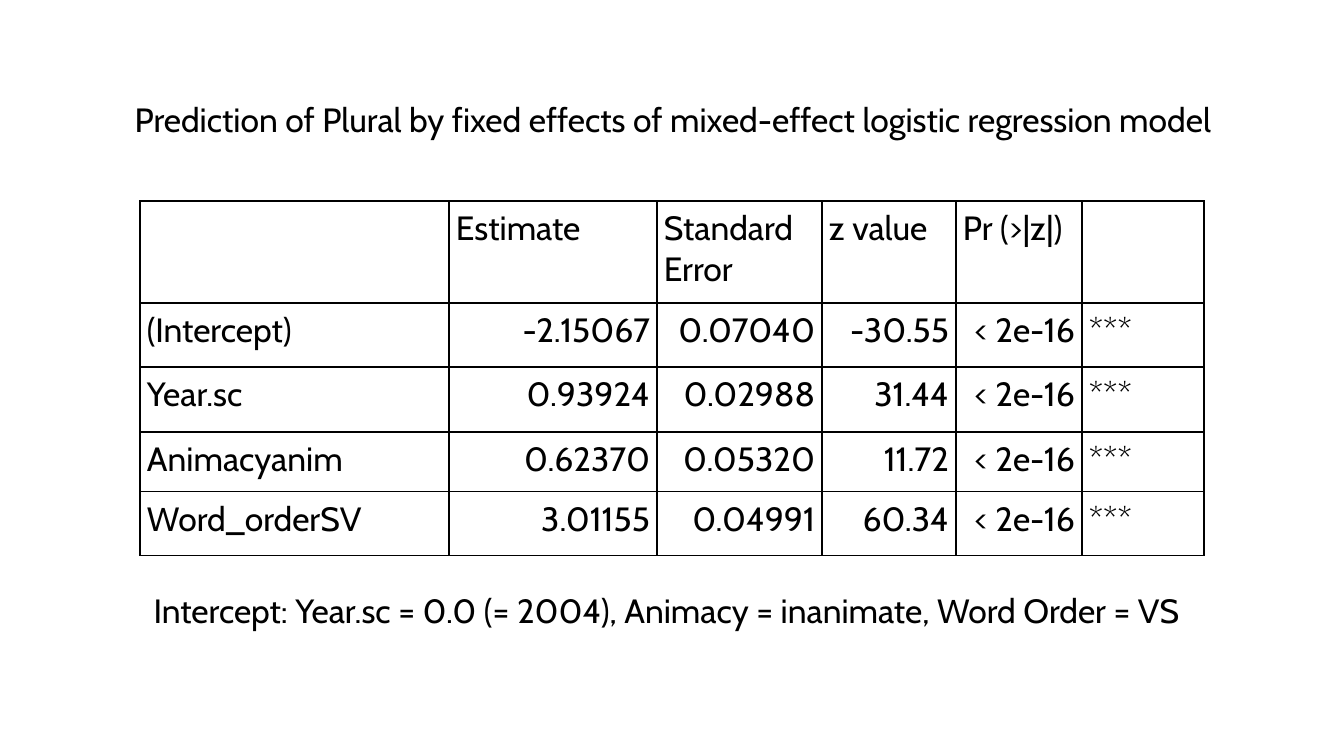
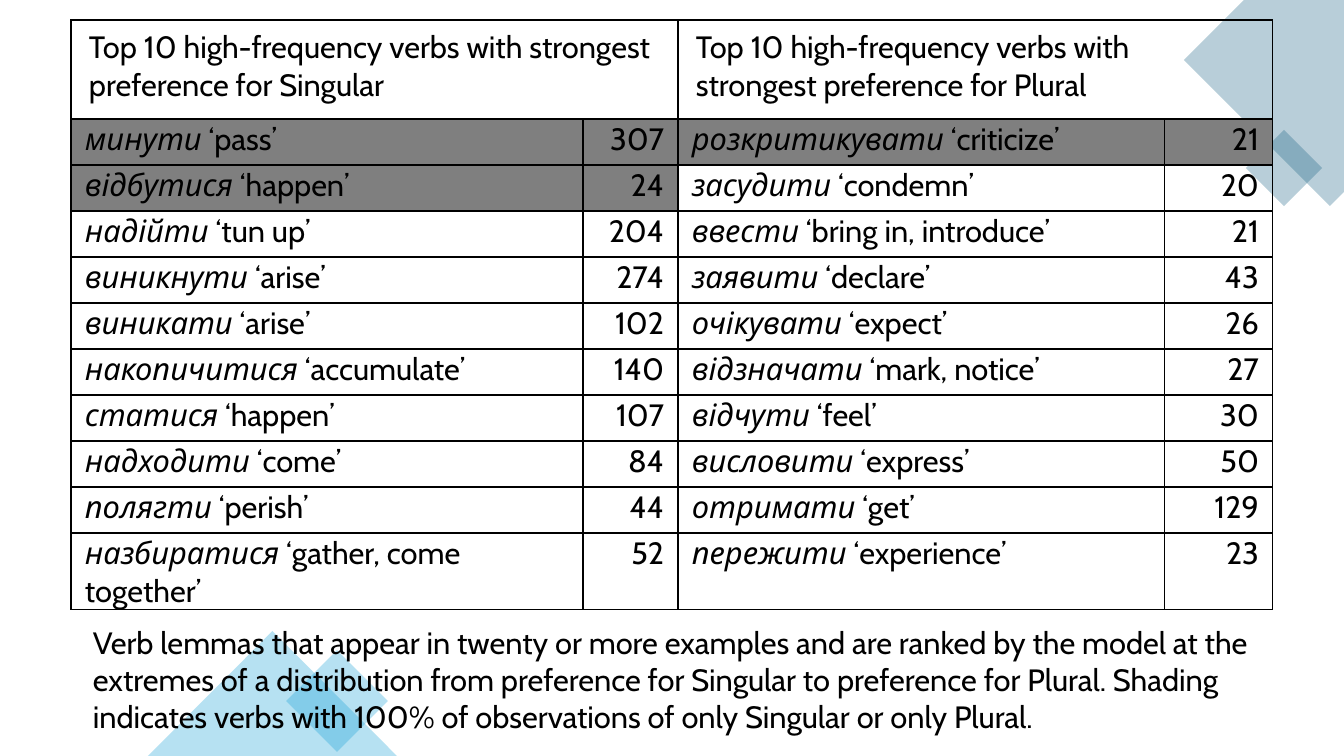
from lxml.etree import SubElement
from pptx import Presentation
from pptx.dml.color import RGBColor
from pptx.enum.shapes import MSO_SHAPE
from pptx.enum.text import MSO_ANCHOR, MSO_AUTO_SIZE, PP_ALIGN
from pptx.oxml.ns import qn
from pptx.util import Emu, Pt

SLIDE_WIDTH, SLIDE_HEIGHT = 1344, 756
EMU_PER_PX = 12192000 / SLIDE_WIDTH
TITLE_ONLY, BLANK = 5, 6
FONT = "Cabin"
BLACK = RGBColor(0x00, 0x00, 0x00)
SHADE = RGBColor(0x7F, 0x7F, 0x7F)
TEAL = RGBColor(0x15, 0x60, 0x82)
SKY = RGBColor(0x0F, 0x9E, 0xD5)
OPACITY = 30

MODEL_SIZE, VERB_SIZE = 24, 22
MODEL_INSETS = (7, 7, 7, 7)
HEADER_INSETS = (18, 9, 18, 9)
VERB_INSETS = (14, 2, 14, 0)

MODEL_HEADER = ("", "Estimate", "Standard Error", "z value", "Pr (>|z|)", "")
MODEL_ROWS = (
    ("(Intercept)", "-2.15067", "0.07040", "-30.55"),
    ("Year.sc", "0.93924", "0.02988", "31.44"),
    ("Animacyanim", "0.62370", "0.05320", "11.72"),
    ("Word_orderSV", "3.01155", "0.04991", "60.34"),
)
SIGNIFICANCE = ("< 2e-16", "***")

SINGULAR_VERBS = (
    ("минути", "pass", 307),
    ("відбутися", "happen", 24),
    ("надійти", "tun up", 204),
    ("виникнути", "arise", 274),
    ("виникати", "arise", 102),
    ("накопичитися", "accumulate", 140),
    ("статися", "happen", 107),
    ("надходити", "come", 84),
    ("полягти", "perish", 44),
    ("назбиратися", "gather, come together", 52),
)
PLURAL_VERBS = (
    ("розкритикувати", "criticize", 21),
    ("засудити", "condemn", 20),
    ("ввести", "bring in, introduce", 21),
    ("заявити", "declare", 43),
    ("очікувати", "expect", 26),
    ("відзначати", "mark, notice", 27),
    ("відчути", "feel", 30),
    ("висловити", "express", 50),
    ("отримати", "get", 129),
    ("пережити", "experience", 23),
)
VERB_GROUPS = (
    ("Singular", SINGULAR_VERBS, 2),
    ("Plural", PLURAL_VERBS, 1),
)


def px(length):
    """Turn a length in px into EMU."""
    return Emu(round(length * EMU_PER_PX))


def format_text(frame, size, align=PP_ALIGN.LEFT):
    """Apply the deck font to all text of a frame."""
    for para in frame.paragraphs:
        para.alignment = align
        for span in para.runs:
            span.font.name = FONT
            span.font.size = Pt(size)
            span.font.color.rgb = BLACK


def place_text(box, bounds, text, size, align):
    """Position a text box or title and set its text."""
    box.left, box.top, box.width, box.height = map(px, bounds)
    frame = box.text_frame
    frame.text = text
    frame.word_wrap = True
    frame.auto_size = MSO_AUTO_SIZE.NONE
    frame.vertical_anchor = MSO_ANCHOR.TOP
    format_text(frame, size, align)


def add_text(page, bounds, text, size, align=PP_ALIGN.LEFT):
    """Add a wrapping text box."""
    box = page.shapes.add_textbox(*map(px, bounds))
    place_text(box, bounds, text, size, align)


def tint(shape, color):
    """Give a shape a translucent fill without line or shadow."""
    shape.shadow.inherit = False
    shape.line.fill.background()
    shape.fill.solid()
    shape.fill.fore_color.rgb = color
    color_node = shape.fill._xPr.find(qn("a:solidFill"))[0]
    SubElement(color_node, qn("a:alpha"), val=str(OPACITY * 1000))


def add_tinted(page, kind, bounds, color, rotation=0):
    """Add a translucent preset shape."""
    shape = page.shapes.add_shape(kind, *map(px, bounds))
    shape.rotation = rotation
    tint(shape, color)


def add_tinted_outline(page, points, color):
    """Add a translucent polygon."""
    builder = page.shapes.build_freeform(*points[0], scale=EMU_PER_PX)
    builder.add_line_segments(points[1:], close=True)
    tint(builder.convert_to_shape(), color)


def add_grid(page, left, top, widths, heights):
    """Add a plain table with thin black borders."""
    frame = page.shapes.add_table(
        len(heights), len(widths), px(left), px(top), px(sum(widths)), px(sum(heights))
    )
    table = frame.table
    table.first_row = table.horz_banding = False
    for column, width in zip(table.columns, widths):
        column.width = px(width)
    for row, height in zip(table.rows, heights):
        row.height = px(height)
    for cell in table.iter_cells():
        properties = cell._tc.get_or_add_tcPr()
        for side in ("a:lnL", "a:lnR", "a:lnT", "a:lnB"):
            line = SubElement(properties, qn(side), w=str(Pt(1)))
            fill = SubElement(line, qn("a:solidFill"))
            SubElement(fill, qn("a:srgbClr"), val=str(BLACK))
        cell.fill.background()
    return table


def fill_cell(cell, text, size, insets, align=PP_ALIGN.LEFT, lemma=""):
    """Write a cell, with an optional italic lemma before its text."""
    cell.margin_left, cell.margin_top, cell.margin_right, cell.margin_bottom = map(px, insets)
    para = cell.text_frame.paragraphs[0]
    if lemma:
        span = para.add_run()
        span.text = lemma
        span.font.italic = True
    if text:
        para.add_run().text = text
    format_text(cell.text_frame, size, align)


def shade_cell(cell):
    """Fill a cell with the highlight grey."""
    cell.fill.solid()
    cell.fill.fore_color.rgb = SHADE


def add_model_table(page):
    """Add the table of fixed effects."""
    table = add_grid(page, 140, 201, (309, 208, 165, 134, 126, 122), (102, 64, 65, 60, 64))
    for column, text in enumerate(MODEL_HEADER):
        fill_cell(table.cell(0, column), text, MODEL_SIZE, MODEL_INSETS)
    last = len(MODEL_HEADER) - 1
    for row, values in enumerate(MODEL_ROWS, 1):
        for column, text in enumerate(values + SIGNIFICANCE):
            align = PP_ALIGN.LEFT if column in (0, last) else PP_ALIGN.RIGHT
            cell = table.cell(row, column)
            fill_cell(cell, text, MODEL_SIZE, MODEL_INSETS, align)
            cell.text_frame.paragraphs[0].space_after = Pt(8)


def add_verb_table(page):
    """Add the verb rankings for both numbers side by side."""
    table = add_grid(page, 71, 20, (512, 95, 487, 108), [99] + [46] * 9 + [75])
    for group, (number, verbs, shaded) in enumerate(VERB_GROUPS):
        column = 2 * group
        header = table.cell(0, column)
        header.merge(table.cell(0, column + 1))
        text = f"Top 10 high-frequency verbs with strongest preference for {number}"
        fill_cell(header, text, VERB_SIZE, HEADER_INSETS)
        for row, (lemma, gloss, count) in enumerate(verbs, 1):
            verb_cell, count_cell = table.cell(row, column), table.cell(row, column + 1)
            fill_cell(verb_cell, f" ‘{gloss}’", VERB_SIZE, VERB_INSETS, lemma=lemma)
            fill_cell(count_cell, str(count), VERB_SIZE, VERB_INSETS, PP_ALIGN.RIGHT)
            if row <= shaded:
                shade_cell(verb_cell)
                shade_cell(count_cell)


def build_model_page(deck):
    """Build the slide with the regression results."""
    page = deck.slides.add_slide(deck.slide_layouts[TITLE_ONLY])
    place_text(
        page.shapes.title,
        (113, 94, 1120, 50),
        "Prediction of Plural by fixed effects of mixed-effect logistic regression model",
        MODEL_SIZE,
        PP_ALIGN.CENTER,
    )
    add_model_table(page)
    add_text(
        page,
        (120, 585, 1093, 50),
        "Intercept: Year.sc = 0.0 (= 2004), Animacy = inanimate, Word Order = VS",
        MODEL_SIZE,
        PP_ALIGN.CENTER,
    )


def build_verb_page(deck):
    """Build the slide with the verb rankings."""
    page = deck.slides.add_slide(deck.slide_layouts[BLANK])
    corner = ((1344, 0), (1244, 0), (1184, 60), (1330, 206), (1344, 192))
    add_tinted_outline(page, corner, TEAL)
    add_tinted(page, MSO_SHAPE.RECTANGLE, (1257, 141, 54, 54), TEAL, 315)
    add_tinted(page, MSO_SHAPE.RECTANGLE, (301, 665, 72, 72), SKY, 45)
    add_tinted(page, MSO_SHAPE.ISOSCELES_TRIANGLE, (148, 631, 249, 125), SKY)
    add_verb_table(page)
    add_text(
        page,
        (83, 619, 1187, 122),
        "Verb lemmas that appear in twenty or more examples and are ranked by the model "
        "at the extremes of a distribution from preference for Singular to preference for "
        "Plural. Shading indicates verbs with 100% of observations of only Singular or "
        "only Plural.",
        VERB_SIZE,
    )


def main():
    """Build and save the deck."""
    deck = Presentation()
    deck.slide_width, deck.slide_height = px(SLIDE_WIDTH), px(SLIDE_HEIGHT)
    build_model_page(deck)
    build_verb_page(deck)
    deck.save("out.pptx")


if __name__ == "__main__":
    main()
